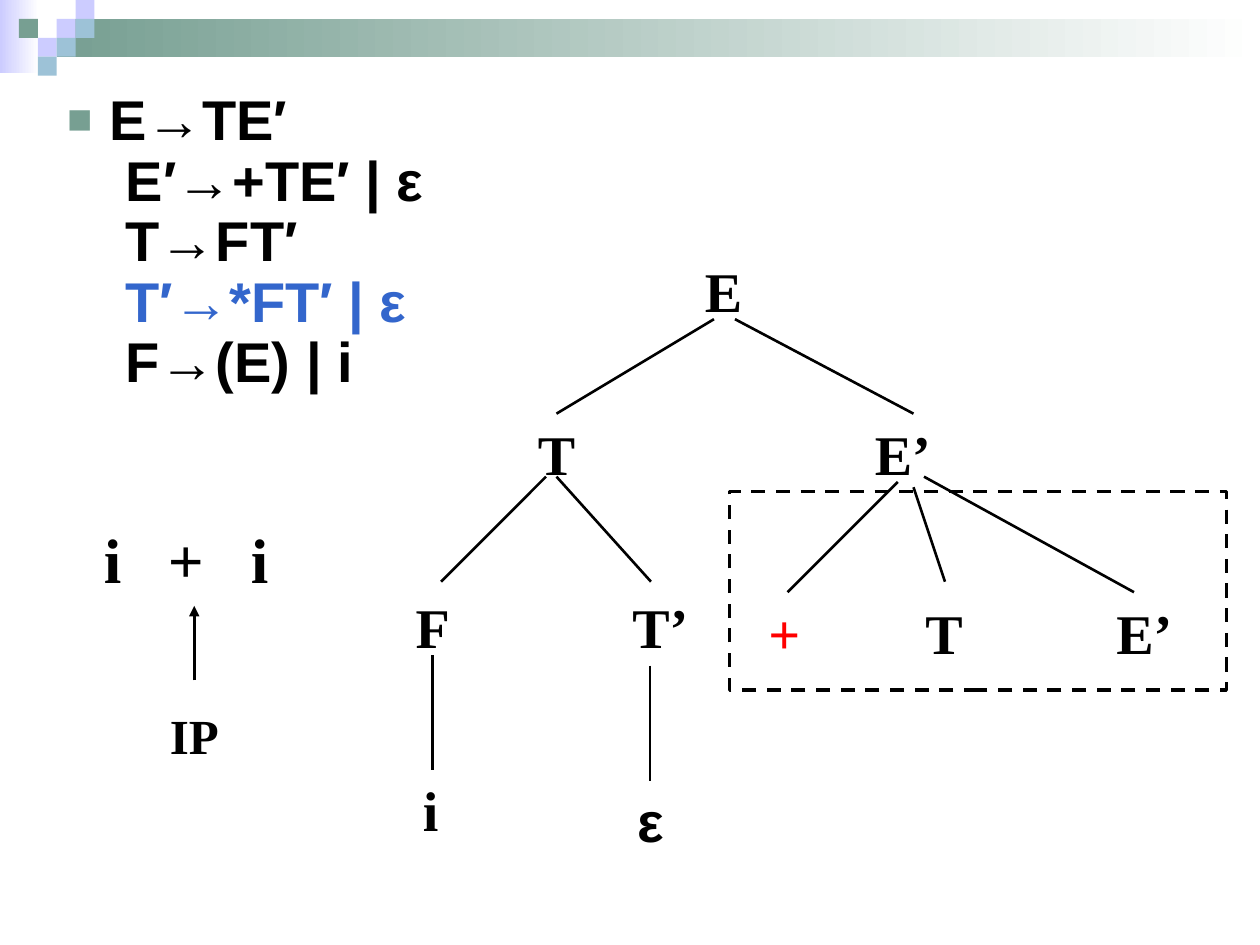
"""Build the slide that predicts a parse tree for i + i with an LL(1) grammar."""
from lxml import etree
from pptx import Presentation
from pptx import util as u
from pptx.dml.color import RGBColor
from pptx.enum import dml, shapes, text
from pptx.oxml.ns import qn

BLACK = RGBColor(0x00, 0x00, 0x00)
WHITE = RGBColor(0xFF, 0xFF, 0xFF)
RED = RGBColor(0xFF, 0x00, 0x00)
BLUE = RGBColor(0x33, 0x66, 0xCC)
GREEN = RGBColor(0x77, 0x9F, 0x92)
LILAC = RGBColor(0xCC, 0xCC, 0xFF)
SKY = RGBColor(0x9D, 0xC2, 0xD7)
SERIF, SANS = "Times New Roman", "Arial"
COLUMNS, ROWS, TILE = 120, 90, 1.8

TILES = [(3, 1, LILAC), (4, 0, LILAC), (4, 1, SKY), (2, 2, LILAC),
         (1, 1, GREEN), (3, 2, SKY), (2, 3, SKY)]
GRAMMAR = [("E→TE′", BLACK), ("E′→+TE′ | ε", BLACK), ("T→FT′", BLACK),
           ("T′→*FT′ | ε", BLUE), ("F→(E) | i", BLACK)]
NODES = [("E", 68.9, 23.8, 5.9), ("T", 53, 39.4, 5.9), ("E’", 86, 39.4, 7.7),
         ("F", 41.2, 55.8, 5.6), ("T’", 62.9, 55.8, 7.7), ("i", 41, 73.3, 3.8),
         ("T", 89.9, 56.4, 5.9), ("E’", 109, 56.4, 7.7)]
BRANCHES = [(68, 30.4, 53, 39.4), (70, 30.4, 87, 39.4),
            (52, 45.4, 42, 55.4), (53, 45.4, 62, 55.4),
            (41.2, 62.4, 41.2, 73.3), (61.9, 63.4, 61.9, 74.4),
            (85.5, 45.9, 75, 56.4), (87, 46.4, 90, 55.4), (88, 45.4, 108, 56.4)]


class Board:
    """Hold the style and the current slide, with lengths in grid columns and rows."""

    def __init__(self, deck):
        self.page = deck.slides.add_slide(deck.slide_layouts[6])
        self.column = deck.slide_width / COLUMNS
        self.row = deck.slide_height / ROWS

    def place(self, left, top, width, height):
        """Turn grid units into slide lengths."""
        return (round(left * self.column), round(top * self.row),
                round(width * self.column), round(height * self.row))

    def block(self, area, color=None, fade=False):
        """Draw a rectangle: filled, fading to white, or dashed when colourless."""
        box = self.page.shapes.add_shape(shapes.MSO_SHAPE.RECTANGLE, *self.place(*area))
        box.shadow.inherit = False
        if color is None:
            box.fill.background()
            box.line.color.rgb = BLACK
            box.line.width = u.Pt(2)
            box.line.dash_style = dml.MSO_LINE.DASH
            return
        box.line.fill.background()
        if fade:
            box.fill.gradient()
            box.fill.gradient_angle = 0
            for stop, shade in zip(box.fill.gradient_stops, (color, WHITE)):
                stop.color.rgb = shade
        else:
            box.fill.solid()
            box.fill.fore_color.rgb = color

    def line(self, ends, arrow=False):
        """Draw a straight line, with an arrowhead at its end on request."""
        line = self.page.shapes.add_connector(
            shapes.MSO_CONNECTOR.STRAIGHT, *self.place(*ends))
        line.line.color.rgb = BLACK
        line.line.width = u.Pt(1.5)
        if arrow:
            outline = line._element.spPr.find(qn("a:ln"))
            etree.SubElement(outline, qn("a:tailEnd"), type="triangle")
        etree.SubElement(line._element.spPr, qn("a:effectLst"))

    def frame(self, area, wrap=True):
        """Add an empty text box and return its text frame."""
        frame = self.page.shapes.add_textbox(*self.place(*area)).text_frame
        frame.word_wrap = wrap
        return frame

    def add_span(self, para, words, size=32, font=SERIF, color=BLACK):
        """Add one bold run to a paragraph."""
        span = para.add_run()
        span.text = words
        span.font.size = u.Pt(size)
        span.font.name = font
        span.font.bold = True
        span.font.color.rgb = color

    def label(self, words, center, top, width, height=7.7, **style):
        """Put a short label centred on a column."""
        frame = self.frame((center - width / 2, top, width, height), wrap=False)
        para = frame.paragraphs[0]
        para.alignment = text.PP_ALIGN.CENTER
        self.add_span(para, words, **style)

    def tokens(self, area, inset, words, stops):
        """Put the input tokens in one line, spread by tab stops."""
        frame = self.frame(area)
        frame.margin_left = round(inset * self.column)
        para = frame.paragraphs[0]
        tabs = etree.SubElement(para._p.get_or_add_pPr(), qn("a:tabLst"))
        for stop in stops:
            etree.SubElement(tabs, qn("a:tab"), pos=str(round(stop * self.column)), algn="l")
        self.add_span(para, "\t".join(words), size=36)

    def grammar(self, area, rules):
        """List the rules, the first one bulleted and the others indented."""
        frame = self.frame(area)
        for index, (rule, color) in enumerate(rules):
            para = frame.add_paragraph() if index else frame.paragraphs[0]
            para.line_spacing = 0.9
            props = para._p.get_or_add_pPr()
            margin = round((5.6 if index else 4) * self.column)
            props.set("marL", str(margin))
            props.set("indent", str(0 if index else -margin))
            if index:
                etree.SubElement(props, qn("a:buNone"))
            else:
                tint = etree.SubElement(props, qn("a:buClr"))
                etree.SubElement(tint, qn("a:srgbClr"), val=str(GREEN))
                etree.SubElement(props, qn("a:buSzPct"), val="75000")
                etree.SubElement(props, qn("a:buFont"), typeface=SANS)
                etree.SubElement(props, qn("a:buChar"), char="■")
            self.add_span(para, rule, font=SANS, color=color)


def main():
    """Compose the slide and save it."""
    deck = Presentation()
    deck.slide_width, deck.slide_height = u.Inches(10), u.Inches(7.5)
    board = Board(deck)

    board.block((0, 0, 3.7, 7), LILAC, fade=True)
    board.block((3 * TILE, TILE, COLUMNS - 3 * TILE, 2 * TILE), GREEN, fade=True)
    for column, row, color in TILES:
        board.block((column * TILE, row * TILE, TILE, TILE), color)

    board.tokens((6, 49, 25, 8.4), 3.9, ["i", "+", "i"], [6.1, 14])
    board.line((18.5, 64.8, 18.5, 57.7), arrow=True)
    board.label("IP", 18.5, 66.6, 7.1, 6.8, size=28)

    for node in NODES:
        board.label(*node)
    board.label("ε", 61.9, 74.3, 4.7, font=SANS)
    board.label("+", 74.7, 56.4, 5.4, color=RED)
    for branch in BRANCHES:
        board.line(branch)
    board.block((69.5, 46.8, 47.3, 18.9))
    board.grammar((5.2, 8.2, 53.2, 35.8), GRAMMAR)
    deck.save("out.pptx")


if __name__ == "__main__":
    main()
